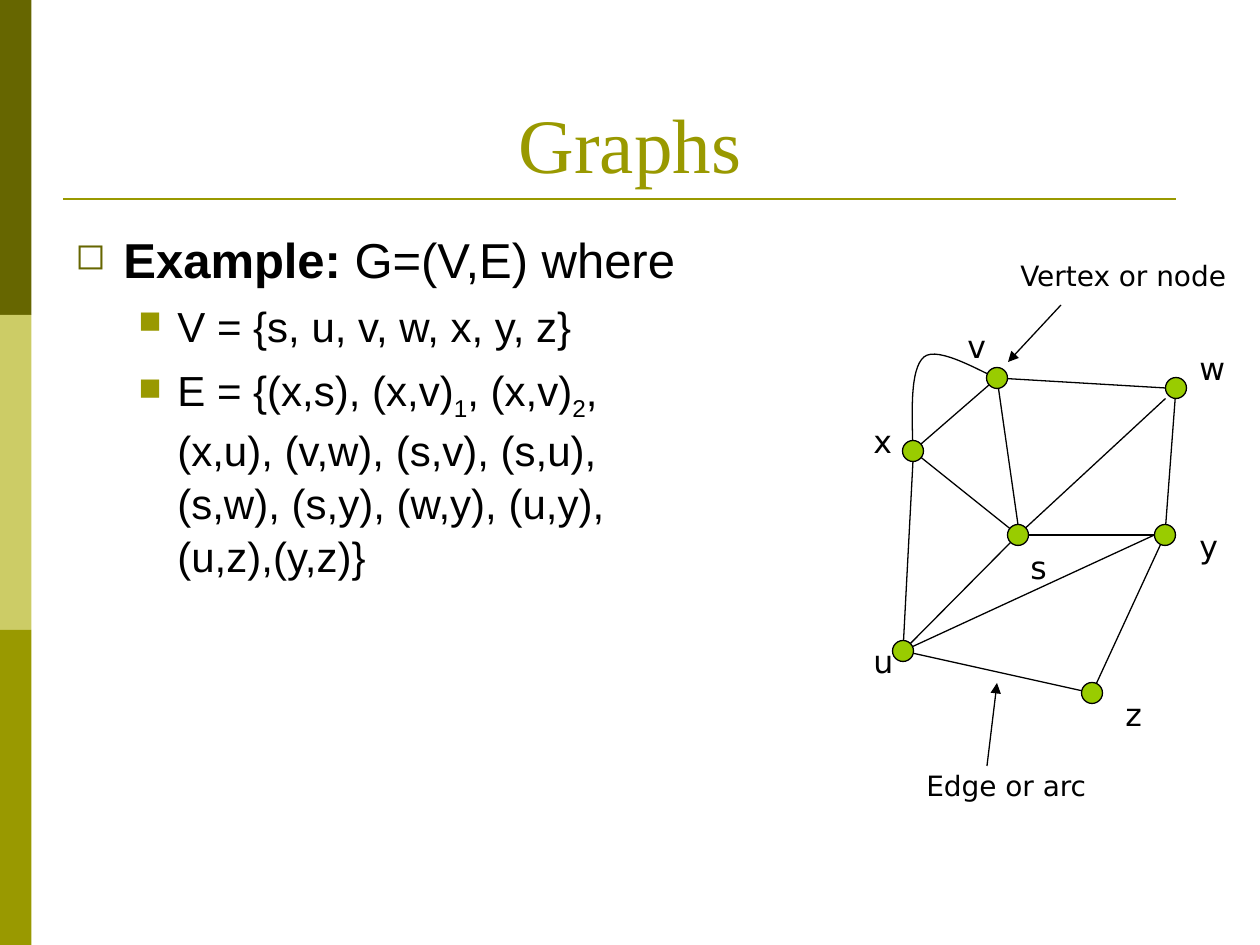
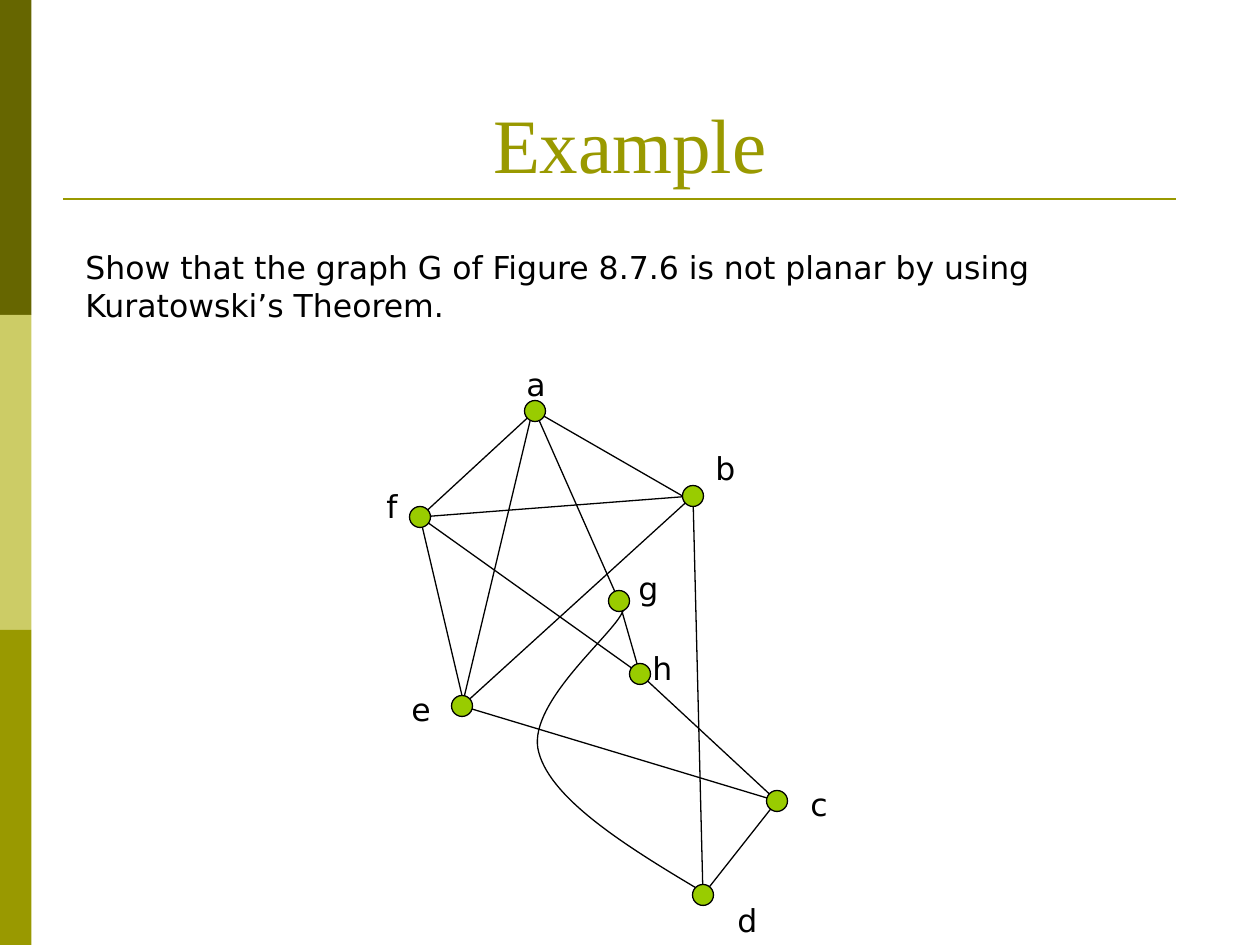
from lxml.etree import SubElement
from pptx import Presentation
from pptx.dml.color import RGBColor
from pptx.enum.shapes import MSO_CONNECTOR, MSO_SHAPE
from pptx.enum.text import MSO_ANCHOR, PP_ALIGN
from pptx.oxml.ns import qn
from pptx.util import Emu, Pt

COLORS = {"dark": "666600", "light": "CCCC66", "olive": "999900",
          "node": "99CC00", "ink": "000000"}
SERIF, SANS, LABEL = "Times New Roman", "Arial", "DejaVu Sans"
SCALE = 914400 / 126
BAND_W, BAND_H = 31.5, 315
NODE = 21
R = NODE / 2

BULLETS = [
    dict(mark="◻", color="dark", size=28, margin=48, indent=48, before=7,
         runs=[("Example: ", "bold"), ("G=(V,E) where", "")]),
    dict(mark="■", color="olive", size=24, margin=102, indent=39, before=6,
         runs=[("V = {s, u, v, w, x, y, z}", "")]),
    dict(mark="■", color="olive", size=24, margin=102, indent=39, before=6,
         runs=[("E = {(x,s), (x,v)", ""), ("1", "sub"), (", (x,v)", ""), ("2", "sub"),
               (", (x,u), (v,w), (s,v), (s,u), (s,w), (s,y), (w,y), (u,y), (u,z),(y,z)}", "")]),
]
CALLOUTS = [
    ("Vertex or node", (1008, 252), (1061, 305), (1008, 362)),
    ("Edge or arc", (914, 762), (987, 766), (997, 683)),
]
QUESTION = ("Show that the graph G of Figure 8.7.6 is not planar by using "
            "Kuratowski’s Theorem.")

# name: (node centre, label corner); edge: (from, to, shift of the far end)
MULTIGRAPH = dict(
    nodes={"s": ((1018, 535), (1018, 546)), "v": ((997, 378), (955, 325)),
           "w": ((1176, 388), (1187, 347)), "y": ((1165, 535), (1187, 525)),
           "z": ((1092, 693), (1113, 693)), "u": ((903, 651), (861, 640)),
           "x": ((913, 451), (861, 420))},
    edges=[("u", "y", (-R, 0)), ("u", "x", (0, R)), ("s", "y"), ("s", "w", (-R, R)),
           ("v", "s", (0, -R)), ("y", "w"), ("z", "y"), ("u", "z"), ("s", "u"),
           ("x", "s"), ("x", "v"), ("v", "w", (-R, 0))],
    curve=[(913, 451), (912, 411), (910, 369), (924, 357),
           (938, 345), (985, 374), (997, 378)],
    label=dict(size=(31, 42), align=PP_ALIGN.CENTER, anchor=MSO_ANCHOR.MIDDLE, wrap=False),
)
NONPLANAR = dict(
    nodes={"a": ((535, 411), (514, 359)), "b": ((693, 496), (703, 443)),
           "f": ((420, 517), (374, 481)), "g": ((619, 601), (626, 563)),
           "h": ((640, 674), (640, 643)), "c": ((777, 801), (798, 779)),
           "d": ((703, 895), (725, 895)), "e": ((462, 706), (399, 684))},
    edges=[("e", "b"), ("e", "c"), ("e", "a", (0, -R)), ("f", "e", (0, -R)), ("h", "c"),
           ("f", "h"), ("d", "c"), ("b", "d"), ("g", "h"), ("a", "g"), ("f", "b"),
           ("a", "b", (-R, 0)), ("a", "f")],
    curve=[(703, 892), (627, 847), (552, 800), (539, 753), (525, 707),
           (607, 640), (621, 615), (635, 590), (627, 597), (621, 605)],
    label=dict(size=(53, 50), align=PP_ALIGN.LEFT, anchor=MSO_ANCHOR.TOP, wrap=True),
)


def px(v):
    return Emu(round(v * SCALE))


def rgb(name):
    return RGBColor.from_string(COLORS[name])


def add_run(p, text, size, font, color="ink"):
    r = p.add_run()
    r.text = text
    r.font.size, r.font.name = Pt(size), font
    r.font.color.rgb = rgb(color)
    return r


def add_box(s, at, size, wrap=True, anchor=MSO_ANCHOR.TOP):
    tf = s.shapes.add_textbox(*map(px, at + size)).text_frame
    tf.word_wrap, tf.vertical_anchor = wrap, anchor
    return tf


def add_text(s, text, at, size, pt, align=PP_ALIGN.LEFT, **box):
    p = add_box(s, at, size, **box).paragraphs[0]
    p.alignment = align
    add_run(p, text, pt, LABEL)


def add_filled(s, kind, at, size, fill, outline=None):
    sp = s.shapes.add_shape(kind, *map(px, at + size))
    sp.shadow.inherit = False
    sp.fill.solid()
    sp.fill.fore_color.rgb = rgb(fill)
    if outline:
        sp.line.color.rgb, sp.line.width = rgb(outline), Pt(0.75)
    else:
        sp.line.fill.background()


def add_line(s, start, end, color="ink", width=0.75, arrow=False):
    c = s.shapes.add_connector(MSO_CONNECTOR.STRAIGHT, *map(px, start + end))
    c.line.color.rgb, c.line.width = rgb(color), Pt(width)
    if arrow:
        SubElement(c.line._get_or_add_ln(), qn("a:tailEnd"), type="triangle")
    SubElement(c._element.spPr, qn("a:effectLst"))


def add_curve(s, points):
    fb = s.shapes.build_freeform(*points[0], scale=SCALE)
    fb.add_line_segments(points[1:], close=False)
    sp = fb.convert_to_shape()
    sp.shadow.inherit = False
    sp.fill.background()
    sp.line.color.rgb, sp.line.width = rgb("ink"), Pt(0.75)
    outline = next(sp._element.iter(qn("a:moveTo"))).getparent()
    for i, seg in enumerate(outline.findall(qn("a:lnTo"))):
        if i % 3 == 0:
            bezier = SubElement(outline, qn("a:cubicBezTo"))
        bezier.append(seg[0])
        outline.remove(seg)


def add_graph(s, graph):
    nodes, label = graph["nodes"], dict(graph["label"])
    size = label.pop("size")
    add_curve(s, graph["curve"])
    for a, b, *shift in graph["edges"]:
        dx, dy = shift[0] if shift else (0, 0)
        x, y = nodes[b][0]
        add_line(s, nodes[a][0], (x + dx, y + dy))
    for (x, y), _ in nodes.values():
        add_filled(s, MSO_SHAPE.FLOWCHART_CONNECTOR, (x - R, y - R), (NODE, NODE), "node", "ink")
    for name, (_, corner) in nodes.items():
        add_text(s, name, corner, size, 18, **label)


def add_bullets(s):
    tf = add_box(s, (63, 220), (651, 624))
    for i, item in enumerate(BULLETS):
        p = tf.add_paragraph() if i else tf.paragraphs[0]
        p.space_before, p.line_spacing = Pt(item["before"]), 1.05
        pPr = p._p.get_or_add_pPr()
        pPr.set("marL", str(px(item["margin"])))
        pPr.set("indent", str(-px(item["indent"])))
        SubElement(SubElement(pPr, qn("a:buClr")), qn("a:srgbClr"), val=COLORS[item["color"]])
        SubElement(pPr, qn("a:buSzPct"), val="75000")
        SubElement(pPr, qn("a:buChar"), char=item["mark"])
        for text, style in item["runs"]:
            r = add_run(p, text, item["size"], SANS)
            r.font.bold = style == "bold"
            if style == "sub":
                r._r.get_or_add_rPr().set("baseline", "-25000")


def add_slide(prs, title):
    s = prs.slides.add_slide(prs.slide_layouts[5])
    for i, color in enumerate(("dark", "light", "olive")):
        add_filled(s, MSO_SHAPE.RECTANGLE, (0, i * BAND_H), (BAND_W, BAND_H), color)
    add_line(s, (63, 199), (1176, 199), "olive", 1.5)
    sp = s.shapes.title
    sp.left, sp.top, sp.width, sp.height = map(px, (63, 38, 1134, 157))
    tf = sp.text_frame
    tf.vertical_anchor = MSO_ANCHOR.BOTTOM
    p = tf.paragraphs[0]
    p.alignment = PP_ALIGN.CENTER
    add_run(p, title, 44, SERIF, "olive")
    return s


def main():
    prs = Presentation()
    prs.slide_width, prs.slide_height = px(1260), px(945)

    s = add_slide(prs, "Graphs")
    add_bullets(s)
    add_graph(s, MULTIGRAPH)
    for text, at, start, end in CALLOUTS:
        add_line(s, start, end, arrow=True)
        add_text(s, text, at, (252, 47), 16)

    s = add_slide(prs, "Example")
    add_graph(s, NONPLANAR)
    add_text(s, QUESTION, (73, 242), (1092, 88), 18)

    prs.save("out.pptx")


if __name__ == "__main__":
    main()
